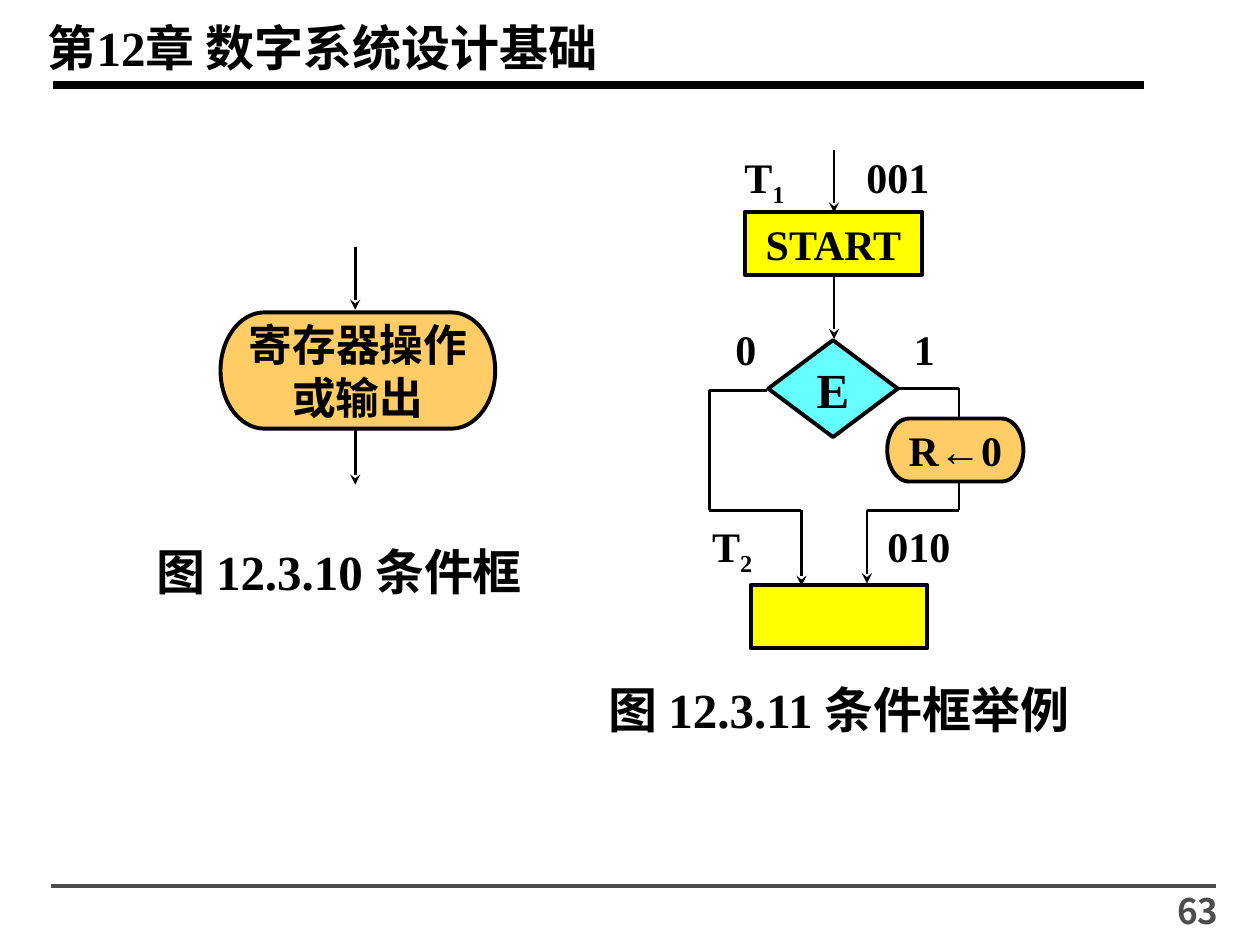
from dataclasses import dataclass
from itertools import pairwise

from lxml import etree
from pptx import Presentation
from pptx.dml.color import RGBColor
from pptx.enum.shapes import MSO_CONNECTOR, MSO_SHAPE
from pptx.enum.text import MSO_ANCHOR, PP_ALIGN
from pptx.oxml.ns import qn
from pptx.util import Pt

STRAIGHT = MSO_CONNECTOR.STRAIGHT
RECTANGLE = MSO_SHAPE.RECTANGLE
DECISION = MSO_SHAPE.FLOWCHART_DECISION
TERMINATOR = MSO_SHAPE.FLOWCHART_TERMINATOR
LEFT, CENTER, RIGHT = PP_ALIGN.LEFT, PP_ALIGN.CENTER, PP_ALIGN.RIGHT
TOP, MIDDLE = MSO_ANCHOR.TOP, MSO_ANCHOR.MIDDLE

BLACK = RGBColor(0x00, 0x00, 0x00)
GRAY = RGBColor(0x4D, 0x4D, 0x4D)
YELLOW = RGBColor(0xFF, 0xFF, 0x00)
CYAN = RGBColor(0x66, 0xFF, 0xFF)
ORANGE = RGBColor(0xFF, 0xCC, 0x66)

SERIF = "Times New Roman"
SANS = "Noto Sans CJK SC"


@dataclass
class Label:
    text: str
    left: float
    top: float
    width: float
    height: float = 36
    subscript: str = ""
    size: float = 24
    margin: float = 0
    font: str = SERIF
    color: RGBColor = BLACK
    align: PP_ALIGN = LEFT


@dataclass
class Node:
    kind: MSO_SHAPE
    fill: RGBColor
    left: float
    top: float
    width: float
    height: float
    text: str = ""
    size: float = 24


@dataclass
class Route:
    points: list[tuple[float, float]]
    arrow: bool = False
    weight: float = 1.5
    color: RGBColor = BLACK


def write(frame, text: str, size: float, font: str, color: RGBColor,
          align: PP_ALIGN, anchor: MSO_ANCHOR, margin: float) -> None:
    frame.word_wrap = True
    frame.vertical_anchor = anchor
    frame.margin_left = frame.margin_right = Pt(margin)
    frame.margin_top = frame.margin_bottom = Pt(3.6)
    frame.text = text
    for paragraph in frame.paragraphs:
        paragraph.alignment = align
        paragraph.font.size = Pt(size)
        paragraph.font.bold = True
        paragraph.font.name = font
        paragraph.font.color.rgb = color
        # East Asian characters use the sans face
        defaults = paragraph._p.get_or_add_pPr().find(qn("a:defRPr"))
        latin = defaults.find(qn("a:latin"))
        east_asian = etree.Element(qn("a:ea"), typeface=SANS)
        latin.addnext(east_asian)


def draw_label(shapes, label: Label) -> None:
    box = shapes.add_textbox(Pt(label.left), Pt(label.top),
                             Pt(label.width), Pt(label.height))
    write(box.text_frame, label.text, label.size, label.font, label.color,
          label.align, TOP, label.margin)
    if label.subscript:
        lowered = box.text_frame.paragraphs[0].add_run()
        lowered.text = label.subscript
        lowered._r.get_or_add_rPr().set("baseline", "-25000")


def draw_node(shapes, node: Node) -> None:
    shape = shapes.add_shape(node.kind, Pt(node.left), Pt(node.top),
                             Pt(node.width), Pt(node.height))
    shape.shadow.inherit = False
    shape.fill.solid()
    shape.fill.fore_color.rgb = node.fill
    shape.line.color.rgb = BLACK
    shape.line.width = Pt(2.25)
    if node.text:
        write(shape.text_frame, node.text, node.size, SERIF, BLACK,
              CENTER, MIDDLE, 0)


def draw_route(shapes, route: Route) -> None:
    for (x1, y1), (x2, y2) in pairwise(route.points):
        segment = shapes.add_connector(STRAIGHT, Pt(x1), Pt(y1), Pt(x2), Pt(y2))
        segment.line.color.rgb = route.color
        segment.line.width = Pt(route.weight)
        if route.arrow and (x2, y2) == route.points[-1]:
            etree.SubElement(segment.line._get_or_add_ln(),
                             qn("a:tailEnd"), type="stealth")
        etree.SubElement(segment._element.spPr, qn("a:effectLst"))


# Centre lines of the two flowcharts and levels of the branches
LEFT_AXIS, RIGHT_AXIS = 203, 476.6
BRANCH_0, BRANCH_1, MERGE = 405.4, 548, 291.6
ENTRY_0, ENTRY_1 = 458, 495.4

NODES = [
    # Condition box
    Node(TERMINATOR, ORANGE, 126, 178.5, 157, 66.5, "寄存器操作\n或输出", 25),
    # Condition box example
    Node(RECTANGLE, YELLOW, 425.5, 121, 101.5, 36, "START"),
    Node(DECISION, CYAN, 439, 194.4, 74, 55.4, "E", 28),
    Node(TERMINATOR, ORANGE, 507, 239.2, 77.8, 36, "R←0"),
    Node(RECTANGLE, YELLOW, 429, 334.5, 101, 36),
]

ROUTES = [
    # Header and footer rules
    Route([(30.2, 48.4), (653.8, 48.4)], weight=4.5),
    Route([(29.3, 506.3), (695, 506.3)], weight=2, color=GRAY),
    # Condition box
    Route([(LEFT_AXIS, 141), (LEFT_AXIS, 177)], arrow=True),
    Route([(LEFT_AXIS, 245), (LEFT_AXIS, 277)], arrow=True),
    # Condition box example
    Route([(RIGHT_AXIS, 85.7), (RIGHT_AXIS, 121.5)], arrow=True),
    Route([(RIGHT_AXIS, 157.7), (RIGHT_AXIS, 193.7)], arrow=True),
    Route([(438.5, 223), (BRANCH_0, 223), (BRANCH_0, MERGE),
           (ENTRY_0, MERGE), (ENTRY_0, 334.8)], arrow=True),
    Route([(514, 222), (BRANCH_1, 222), (BRANCH_1, 239)]),
    Route([(BRANCH_1, 276), (BRANCH_1, MERGE),
           (ENTRY_1, MERGE), (ENTRY_1, 333.4)], arrow=True),
]

LABELS = [
    # Chapter title, captions and page number
    Label("第12章 数字系统设计基础", 20.2, 6.5, 449, 41, size=28, margin=7.2),
    Label("图 12.3.10 条件框", 82.1, 306, 248, 41, size=28, margin=7.2),
    Label("图 12.3.11 条件框举例", 340.6, 384.5, 300, 41, size=28, margin=7.2),
    Label("63", 603.4, 504.7, 100, 28, size=20, margin=7.2,
          font=SANS, color=GRAY, align=RIGHT),
    # States, codes and branch values
    Label("T", 425.3, 82.8, 32, subscript="1"),
    Label("001", 495.1, 82.8, 48),
    Label("0", 420.2, 181.6, 20),
    Label("1", 522.3, 181.6, 20),
    Label("T", 407, 293.8, 44, subscript="2"),
    Label("010", 507, 293.8, 57),
]


def main() -> None:
    presentation = Presentation()
    presentation.slide_width, presentation.slide_height = Pt(720), Pt(540)
    blank = presentation.slide_layouts[6]
    shapes = presentation.slides.add_slide(blank).shapes
    for node in NODES:
        draw_node(shapes, node)
    for route in ROUTES:
        draw_route(shapes, route)
    for label in LABELS:
        draw_label(shapes, label)
    presentation.save("out.pptx")


if __name__ == "__main__":
    main()
